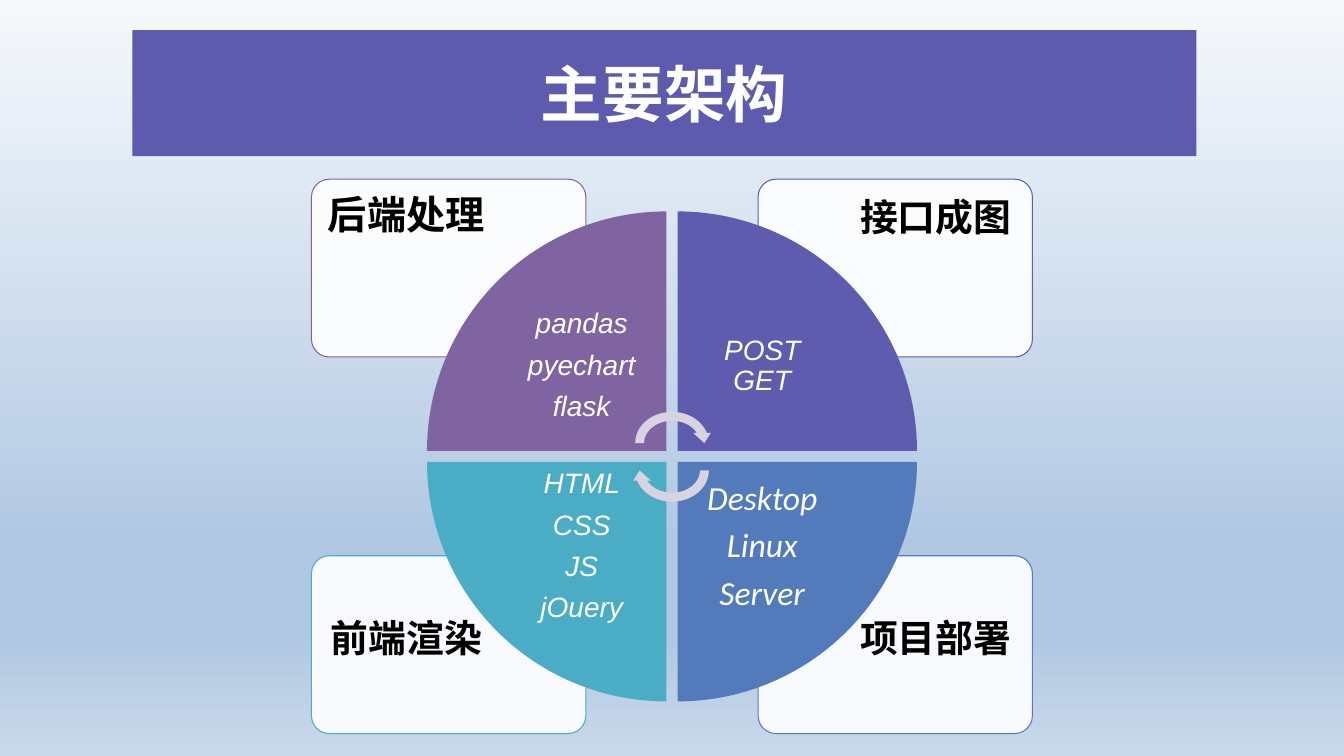
from lxml.etree import SubElement
from pptx import Presentation
from pptx.dml.color import RGBColor
from pptx.enum.shapes import MSO_SHAPE
from pptx.enum.text import MSO_ANCHOR, PP_ALIGN
from pptx.oxml.ns import qn
from pptx.util import Pt

WHITE = RGBColor(0xFF, 0xFF, 0xFF)
BLACK = RGBColor(0x00, 0x00, 0x00)
TITLE_FILL = RGBColor(0x5E, 0x5A, 0xAD)
PURPLE = RGBColor(0x80, 0x64, 0xA2)
INDIGO = RGBColor(0x5F, 0x5B, 0xAE)
BLUE = RGBColor(0x53, 0x7A, 0xBA)
TEAL = RGBColor(0x4B, 0xAC, 0xC6)
ARROW_FILL = RGBColor(0xD8, 0xD3, 0xE0)
BACKGROUND_STOPS = [
    (0, RGBColor(0xF6, 0xF9, 0xFC)),
    (74, RGBColor(0xB0, 0xC6, 0xE1)),
    (83, RGBColor(0xB0, 0xC6, 0xE1)),
    (100, RGBColor(0xCA, 0xD9, 0xEB)),
]

HEADING_FONT = "Noto Sans CJK JP"
CENTER_X, CENTER_Y = 480, 326
HALF_GAP = 4
WEDGE_SIZE = 171
WEDGE_TEXT_SIZE = 121
CARD_WIDTH, CARD_HEIGHT = 196, 127
CARD_REACH_X, CARD_REACH_Y = 257.5, 198
LABEL_WIDTH, LABEL_HEIGHT = 131, 89
LABEL_REACH_X = 254.5
LABEL_TOPS = {-1: 131, 1: 432}
ARROW_WIDTH, ARROW_HEIGHT = 59, 51

QUADRANTS = [
    {"side": (1, 1), "color": BLUE, "rotation": 180, "heading": "项目部署",
     "items": "Desktop\nLinux\nServer", "font": "Calibri", "size": 24, "inset": 13.5},
    {"side": (-1, 1), "color": TEAL, "rotation": 270, "heading": "前端渲染",
     "items": "HTML\nCSS\nJS\njOuery"},
    {"side": (1, -1), "color": INDIGO, "rotation": 90, "heading": "接口成图",
     "items": "POST GET"},
    {"side": (-1, -1), "color": PURPLE, "rotation": 0, "heading": "后端处理",
     "items": "pandas\npyechart\nflask", "heading_size": 28, "heading_inset": 8.8},
]


def set_background(slide):
    """Fill the slide with a vertical gradient."""
    fill = slide.background.fill
    fill.gradient()
    fill.gradient_angle = 270
    stop_list = slide.element.find(".//" + qn("a:gsLst"))
    for stop in list(stop_list):
        stop_list.remove(stop)
    for percent, color in BACKGROUND_STOPS:
        stop = SubElement(stop_list, qn("a:gs"), pos=str(percent * 1000))
        SubElement(stop, qn("a:srgbClr"), val=str(color))


def add_shape(slide, kind, left, top, width, height, color, rotation=0):
    """Add a flat preset shape without an outline."""
    shape = slide.shapes.add_shape(kind, Pt(left), Pt(top), Pt(width), Pt(height))
    shape.shadow.inherit = False
    shape.fill.solid()
    shape.fill.fore_color.rgb = color
    shape.line.fill.background()
    shape.rotation = rotation
    return shape


def write_text(shape, text, font, size, color, alignment, anchor, inset,
               bold=False, italic=False, spacing=0.9, after=0):
    """Put formatted text into a shape, one paragraph a line."""
    frame = shape.text_frame
    frame.word_wrap = True
    frame.vertical_anchor = anchor
    frame.margin_left = frame.margin_right = Pt(inset)
    frame.margin_top = frame.margin_bottom = Pt(inset)
    frame.text = text
    for paragraph in frame.paragraphs:
        paragraph.alignment = alignment
        paragraph.line_spacing = spacing
        paragraph.space_after = Pt(after)
        for run in paragraph.runs:
            run.font.name = font
            run.font.size = Pt(size)
            run.font.bold = bold
            run.font.italic = italic
            run.font.color.rgb = color
            SubElement(run.font._element, qn("a:ea"), typeface=font)


def add_text(slide, left, top, width, height, *content, **style):
    """Add a text box holding formatted text."""
    box = slide.shapes.add_textbox(Pt(left), Pt(top), Pt(width), Pt(height))
    write_text(box, *content, **style)


def corner(center, side, reach, length):
    """Return the start of a span whose outer edge lies at the given reach."""
    return center + reach - length if side > 0 else center - reach


def add_title(slide):
    """Add the title bar."""
    bar = add_shape(slide, MSO_SHAPE.RECTANGLE, 94.5, 21.5, 760, 90, TITLE_FILL)
    write_text(bar, "主要架构", HEADING_FONT, 44, WHITE, PP_ALIGN.CENTER,
               MSO_ANCHOR.MIDDLE, 3.6, bold=True, spacing=1)


def add_card(slide, side, color, heading, heading_size=27, heading_inset=10.8):
    """Add an outer card with its heading."""
    side_x, side_y = side
    card = add_shape(slide, MSO_SHAPE.ROUNDED_RECTANGLE,
                     corner(CENTER_X, side_x, CARD_REACH_X, CARD_WIDTH),
                     corner(CENTER_Y, side_y, CARD_REACH_Y, CARD_HEIGHT),
                     CARD_WIDTH, CARD_HEIGHT, WHITE)
    card.adjustments[0] = 0.1
    card.line.color.rgb = color
    card.line.width = Pt(0.75)
    white = card.element.spPr.find(qn("a:solidFill")).find(qn("a:srgbClr"))
    SubElement(white, qn("a:alpha"), val="90000")
    add_text(slide, corner(CENTER_X, side_x, LABEL_REACH_X, LABEL_WIDTH),
             LABEL_TOPS[side_y], LABEL_WIDTH, LABEL_HEIGHT,
             heading, HEADING_FONT, heading_size, BLACK, PP_ALIGN.LEFT,
             MSO_ANCHOR.TOP, heading_inset, bold=True)


def add_wedge(slide, side, color, rotation, items, font="Arial", size=20, inset=11.5):
    """Add a quarter of the circle with its list."""
    def place(length):
        """Return the left and top of a square beside the centre cross."""
        reach = HALF_GAP + length
        return (corner(CENTER_X, side[0], reach, length),
                corner(CENTER_Y, side[1], reach, length))

    add_shape(slide, MSO_SHAPE.PIE_WEDGE, *place(WEDGE_SIZE),
              WEDGE_SIZE, WEDGE_SIZE, color, rotation)
    add_text(slide, *place(WEDGE_TEXT_SIZE), WEDGE_TEXT_SIZE, WEDGE_TEXT_SIZE,
             items, font, size, WHITE, PP_ALIGN.CENTER, MSO_ANCHOR.MIDDLE,
             inset, italic=True, after=8)


def pick(quadrant, *names):
    """Return the named settings that a quadrant has."""
    return {name: quadrant[name] for name in names if name in quadrant}


def main():
    """Build the slide and save it."""
    presentation = Presentation()
    presentation.slide_width, presentation.slide_height = Pt(960), Pt(540)
    slide = presentation.slides.add_slide(presentation.slide_layouts[6])
    set_background(slide)
    add_title(slide)
    for quadrant in QUADRANTS:
        add_card(slide, **pick(quadrant, "side", "color", "heading",
                               "heading_size", "heading_inset"))
    for quadrant in reversed(QUADRANTS):
        add_wedge(slide, **pick(quadrant, "side", "color", "rotation", "items",
                                "font", "size", "inset"))
    for top, rotation in ((291, 0), (310.5, 180)):
        add_shape(slide, MSO_SHAPE.CIRCULAR_ARROW, CENTER_X - ARROW_WIDTH / 2, top,
                  ARROW_WIDTH, ARROW_HEIGHT, ARROW_FILL, rotation)
    presentation.save("out.pptx")


if __name__ == "__main__":
    main()
